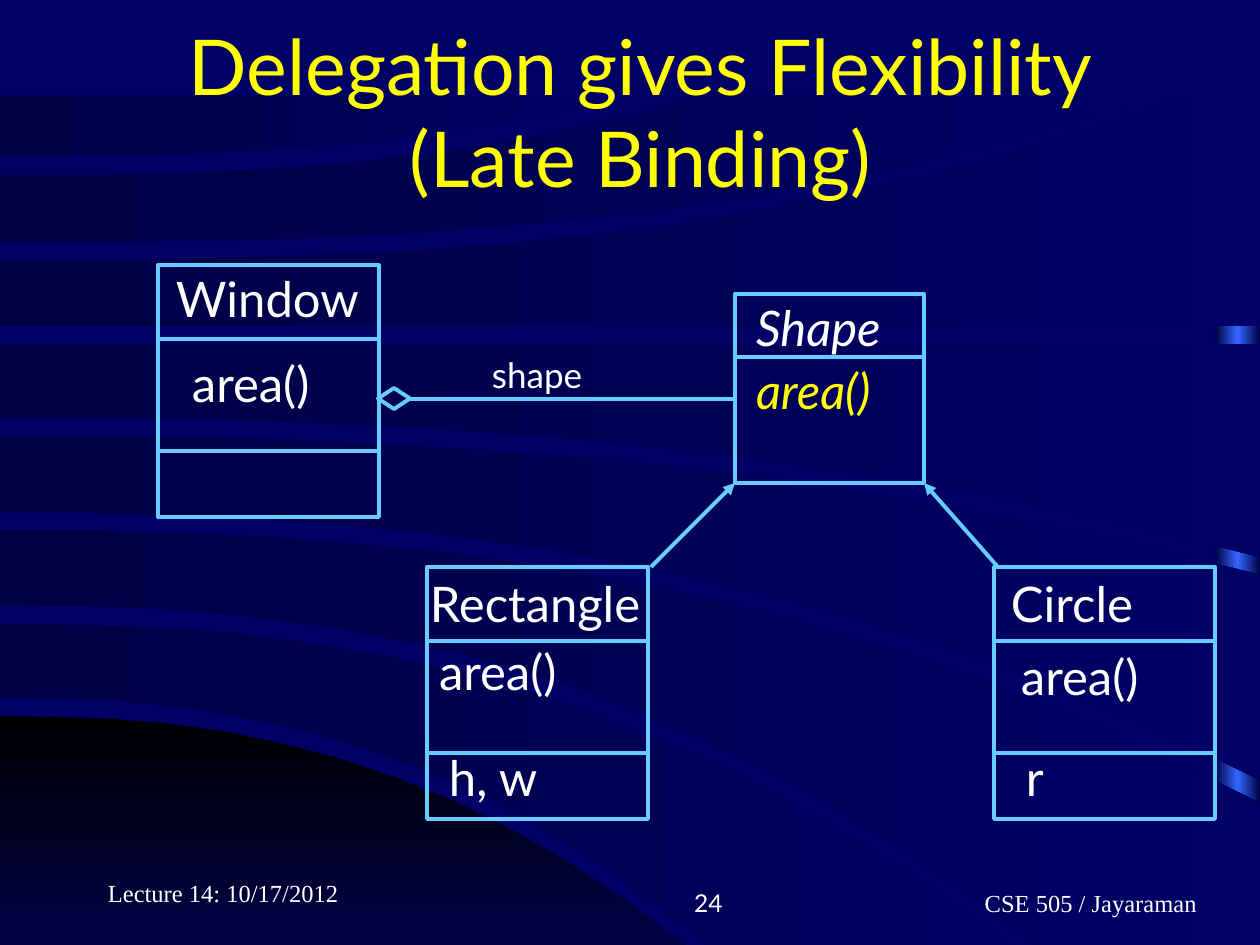
from copy import deepcopy
from dataclasses import dataclass

from lxml import etree
from pptx import Presentation
from pptx.dml.color import RGBColor
from pptx.enum.shapes import MSO_CONNECTOR, MSO_SHAPE
from pptx.enum.text import MSO_ANCHOR, MSO_AUTO_SIZE, PP_ALIGN
from pptx.oxml.ns import qn
from pptx.util import Pt

EMU_PER_PX = 914400 / 126
WIDTH, HEIGHT = 1260, 945
RECTANGLE, DIAMOND = MSO_SHAPE.RECTANGLE, MSO_SHAPE.DIAMOND
STRAIGHT = MSO_CONNECTOR.STRAIGHT
LEFT, CENTER, RIGHT = PP_ALIGN.LEFT, PP_ALIGN.CENTER, PP_ALIGN.RIGHT
TOP, MIDDLE, BOTTOM = MSO_ANCHOR.TOP, MSO_ANCHOR.MIDDLE, MSO_ANCHOR.BOTTOM
FIXED, GROW = MSO_AUTO_SIZE.NONE, MSO_AUTO_SIZE.SHAPE_TO_FIT_TEXT


@dataclass(frozen=True)
class Theme:
    """Colours, fonts and type sizes of the slide."""
    background: str = "000066"
    band: str = "000044"
    corner: str = "000000"
    glow: str = "3366FF"
    line: str = "66CCFF"
    text: str = "FFFFFF"
    accent: str = "FFFF00"
    font: str = "Lato"
    footer_font: str = "Times New Roman"
    title_size: int = 44
    member_size: int = 28
    role_size: int = 20
    footer_size: int = 14
    line_width: float = 2.25


THEME = Theme()


def emu(*lengths):
    """Turn px lengths into EMU."""
    return [round(length * EMU_PER_PX) for length in lengths]


def curve(start_y, end_x, end_y, bend, steps=14):
    """Return points that leave the left edge level and bend to the end."""
    ratios = [step / steps for step in range(steps + 1)]
    return [(round(end_x * ratio), round(start_y + (end_y - start_y) * ratio ** bend))
            for ratio in ratios]


def write_text(shape, text, *, size=THEME.member_size, color=THEME.text,
               font=THEME.font, italic=False, align=LEFT, anchor=TOP,
               wrap=True, auto_size=FIXED, left_inset=13):
    """Put formatted text into a shape."""
    frame = shape.text_frame
    frame.text = text
    frame.word_wrap, frame.auto_size = wrap, auto_size
    frame.vertical_anchor = anchor
    frame.margin_left, = emu(left_inset)
    for paragraph in frame.paragraphs:
        paragraph.alignment = align
        for run in paragraph.runs:
            run.font.name, run.font.size = font, Pt(size)
            run.font.italic = italic
            run.font.color.rgb = RGBColor.from_string(color)


class SlideBuilder:
    """Draws styled elements on one slide."""

    def __init__(self, slide, theme):
        """Keep the slide and its theme, and colour the background."""
        self.slide, self.shapes, self.theme = slide, slide.shapes, theme
        fill = slide.background.fill
        fill.solid()
        fill.fore_color.rgb = RGBColor.from_string(theme.background)

    def gradient(self, shape, colors, angle=0):
        """Fill a shape with evenly spaced gradient colours."""
        shape.shadow.inherit = False
        shape.line.fill.background()
        shape.fill.gradient()
        shape.fill.gradient_angle = angle
        stop_list = shape.element.spPr.find(".//" + qn("a:gsLst"))
        while len(stop_list) < len(colors):
            stop_list.append(deepcopy(stop_list[-1]))
        for index, stop in enumerate(shape.fill.gradient_stops):
            stop.position = index / (len(colors) - 1)
            stop.color.rgb = RGBColor.from_string(colors[index])

    def band(self, upper, lower, start_color, bend=2.4, angle=0):
        """Draw the area between two curves as a gradient."""
        ends = [upper[1:], lower[1:]]
        corner = (max(ends)[0], min(ends)[1])
        points = [*curve(*upper, bend), corner, *reversed(curve(*lower, bend))]
        builder = self.shapes.build_freeform(*points[0], scale=EMU_PER_PX)
        builder.add_line_segments(points[1:], close=True)
        self.gradient(builder.convert_to_shape(),
                      [start_color, self.theme.background], angle)

    def glow(self, *box):
        """Draw the glowing vertical bar."""
        bar = self.shapes.add_shape(RECTANGLE, *emu(*box))
        self.gradient(bar, [self.theme.band, self.theme.glow, self.theme.band])

    def stroke(self, line):
        """Apply the diagram line style."""
        line.color.rgb = RGBColor.from_string(self.theme.line)
        line.width = Pt(self.theme.line_width)

    def outline(self, kind, *box):
        """Draw an unfilled preset shape."""
        shape = self.shapes.add_shape(kind, *emu(*box))
        shape.shadow.inherit = False
        shape.fill.background()
        self.stroke(shape.line)

    def line(self, *ends, arrow=False):
        """Draw a straight line, with an arrowhead at its end if asked."""
        connector = self.shapes.add_connector(STRAIGHT, *emu(*ends))
        self.stroke(connector.line)
        properties = connector.element.spPr
        if arrow:
            outline = properties.find(qn("a:ln"))
            etree.SubElement(outline, qn("a:tailEnd"), type="triangle")
        etree.SubElement(properties, qn("a:effectLst"))

    def class_box(self, left, top, width, height, dividers):
        """Draw a class box with its compartment lines."""
        self.outline(RECTANGLE, left, top, width, height)
        for offset in dividers:
            self.line(left, top + offset, left + width, top + offset)

    def text(self, text, *box, **style):
        """Add a text box."""
        write_text(self.shapes.add_textbox(*emu(*box)), text, **style)

    def title(self, text, *box):
        """Fill the title placeholder and bring it above the scenery."""
        title = self.shapes.title
        title.left, title.top, title.width, title.height = emu(*box)
        write_text(title, text, size=self.theme.title_size,
                   color=self.theme.accent, align=CENTER, anchor=MIDDLE)
        title.element.getparent().append(title.element)


def draw_scenery(builder):
    """Draw the glowing bar, the dark corner and the sweeping bands."""
    builder.glow(1215, 97, 45, HEIGHT - 97)
    builder.band((716, 793, 1042), (1042, 793, 1042), THEME.corner, angle=270)
    for upper, lower in (
            ((624, 1126, 1040), (698, 810, 1040)),
            ((530, WIDTH, 803), (605, 1147, 1040)),
            ((436, WIDTH, 575), (513, WIDTH, 780)),
            ((344, WIDTH, 344), (418, WIDTH, 557))):
        builder.band(upper, lower, THEME.band)
    for upper, lower in (
            ((260, 1189, 95), (326, WIDTH, 326)),
            ((175, 702, 95), (242, 1157, 95)),
            ((95, 633, 95), (156, 633, 95))):
        builder.band(upper, lower, THEME.band, bend=2.7)


def draw_diagram(builder):
    """Draw the class boxes, their relations and their texts."""
    for left, top in ((158, 265), (427, 567), (994, 567)):
        builder.class_box(left, top, 221, 252, (74, 186))
    builder.class_box(735, 294, 189, 189, (63,))
    builder.outline(DIAMOND, 378, 388, 32, 21)
    builder.line(410, 399, 735, 399)
    builder.line(651, 567, 735, 483, arrow=True)
    builder.line(998, 567, 924, 483, arrow=True)

    label = {"wrap": False, "auto_size": GROW}
    for text, left, top, width in (
            ("Window", 163, 262, 212), ("area()", 179, 347, 158),
            ("Rectangle", 417, 567, 252), ("area()", 426, 635, 158),
            ("h, w", 436, 741, 120), ("Circle", 998, 567, 155),
            ("area()", 1008, 640, 158), ("r", 1013, 741, 48)):
        builder.text(text, left, top, width, 72, **label)
    builder.text("shape", 479, 347, 125, 55, size=THEME.role_size, **label)
    builder.text("Shape", 743, 291, 159, 72, italic=True, **label)
    builder.text("area()", 743, 354, 180, 72, italic=True,
                 color=THEME.accent, auto_size=GROW)


def main():
    """Build and save the slide."""
    presentation = Presentation()
    presentation.slide_width, presentation.slide_height = emu(WIDTH, HEIGHT)
    slide = presentation.slides.add_slide(presentation.slide_layouts[5])
    builder = SlideBuilder(slide, THEME)
    draw_scenery(builder)
    builder.title("Delegation gives Flexibility\v(Late Binding)", 105, 32, 1071, 158)
    draw_diagram(builder)

    footer = {"size": THEME.footer_size, "anchor": BOTTOM}
    builder.text("Lecture 14: 10/17/2012", 95, 851, 262, 63,
                 font=THEME.footer_font, **footer)
    builder.text("24", 473, 861, 262, 63, align=RIGHT, **footer)
    builder.text("CSE 505 / Jayaraman", 829, 861, 399, 63, align=CENTER,
                 font=THEME.footer_font, left_inset=137, **footer)
    presentation.save("out.pptx")


if __name__ == "__main__":
    main()
